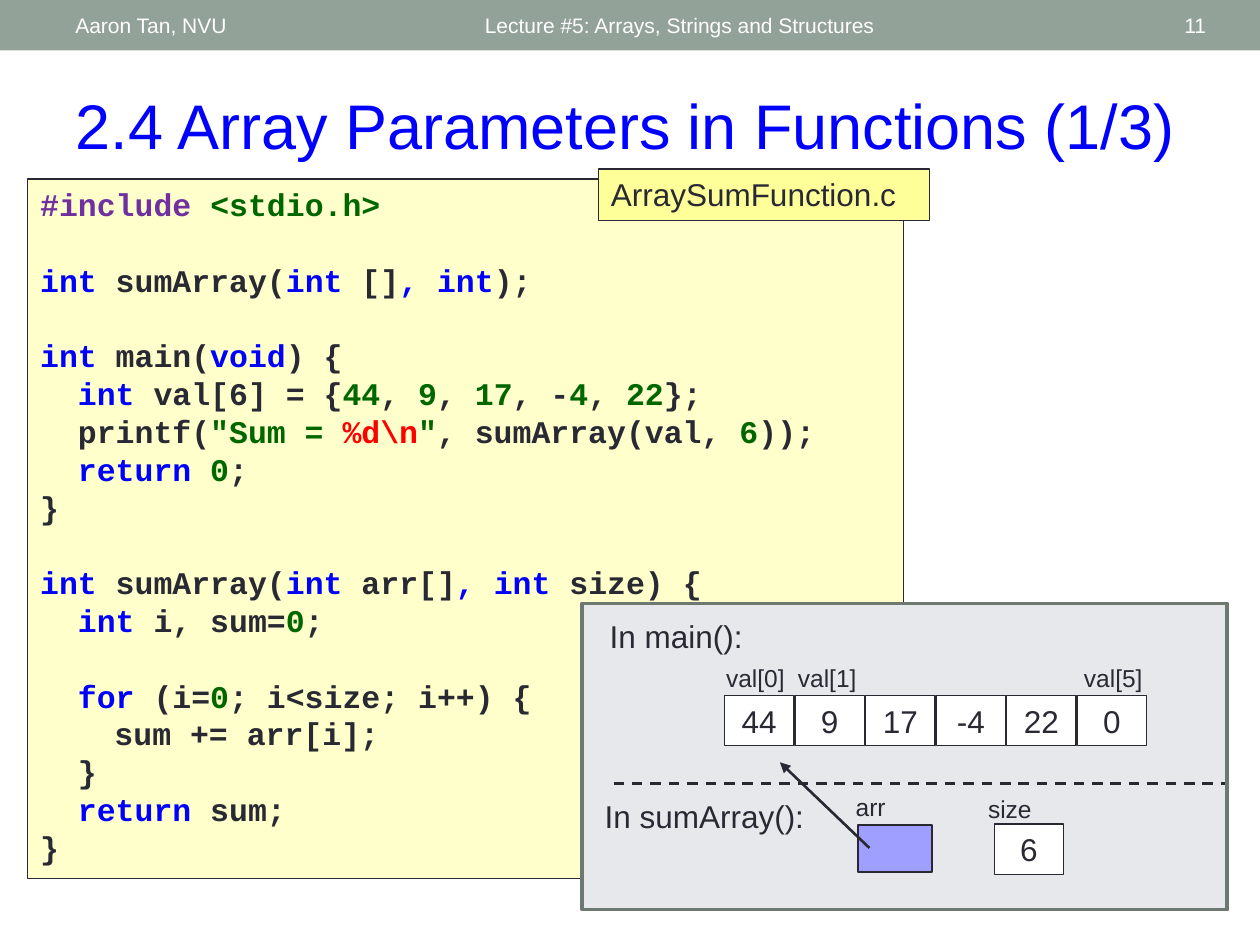
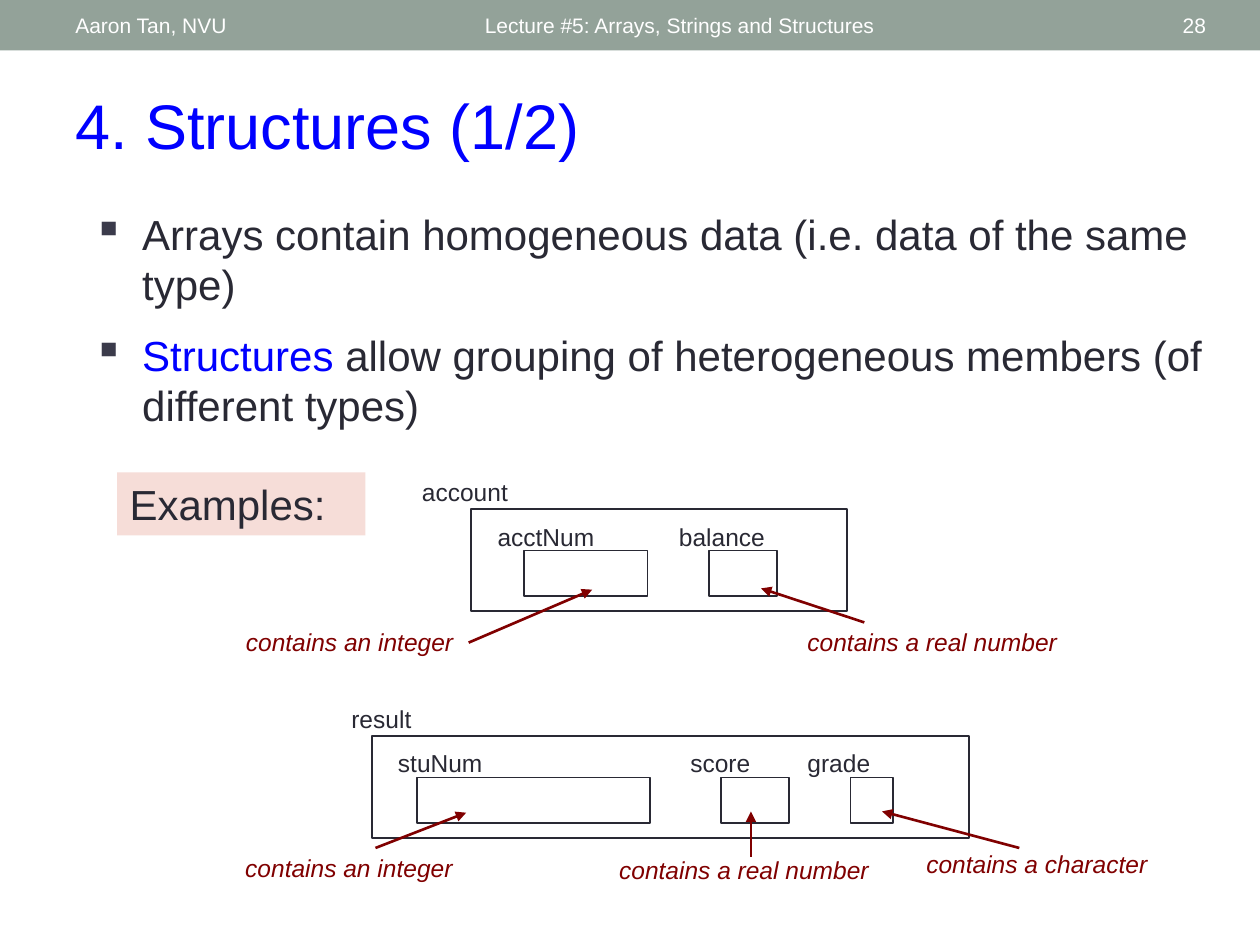
from dataclasses import dataclass

from lxml.etree import SubElement
from pptx import Presentation
from pptx.dml.color import RGBColor
from pptx.enum.dml import MSO_LINE_DASH_STYLE as Dash
from pptx.enum.shapes import MSO_CONNECTOR as Connector, MSO_SHAPE as Shape
from pptx.enum.text import MSO_ANCHOR as Anchor, MSO_AUTO_SIZE as AutoSize, PP_ALIGN as Align
from pptx.oxml.ns import qn
from pptx.util import Inches, Pt


@dataclass(frozen=True)
class Theme:
    font: str = "Arial"
    mono: str = "Courier New"
    ink: str = "292934"
    white: str = "FFFFFF"
    band: str = "93A299"
    blue: str = "0000FF"
    directive: str = "7030A0"
    literal: str = "006600"
    escape: str = "FF0000"
    code_fill: str = "FFFFCC"
    file_fill: str = "FFFF99"
    panel_fill: str = "E6E8EC"
    panel_line: str = "6D7871"
    pointer_fill: str = "9F9FFF"
    example_fill: str = "F6DDD8"
    note: str = "800000"
    bullet: str = "3B3B4B"
    title_size: int = 36
    body_size: int = 24
    text_size: int = 18
    label_size: int = 14
    header_size: int = 12


THEME = Theme()


def blue(text):
    return text, THEME.blue


def literal(text):
    return text, THEME.literal


CODE_BLOCKS = [
    [[("#include ", THEME.directive), literal("<stdio.h>")]],
    [[blue("int "), "sumArray(", blue("int "), "[]", blue(", int"), ");"]],
    [
        [blue("int"), " main(", blue("void"), ") {"],
        ["\t", blue("int "), "val[6] = {", literal("44"), ", ", literal("9"), ", ",
         literal("17"), ", -", literal("4"), ", ", literal("22"), "};"],
        ["\tprintf(", literal('"Sum = '), ("%d\\n", THEME.escape), literal('"'),
         ", sumArray(val, ", literal("6"), "));"],
        ["\t", blue("return "), literal("0"), ";"],
        ["}"],
    ],
    [
        [blue("int "), "sumArray(", blue("int "), "arr[]", blue(", int"), " size) {"],
        ["\t", blue("int "), "i, sum=", literal("0"), ";"],
    ],
    [
        ["\t", blue("for"), " (i=", literal("0"), "; i<size; i++) {"],
        ["\t\tsum += arr[i];"],
        ["\t}"],
        ["\t", blue("return"), " sum;"],
        ["}"],
    ],
]


class Deck:
    def __init__(self, theme):
        self.theme = theme
        self.presentation = Presentation()
        self.presentation.slide_width = Inches(10)
        self.presentation.slide_height = Inches(7.5)
        self.slide = None

    def new_slide(self, title, number):
        theme = self.theme
        self.slide = self.presentation.slides.add_slide(self.presentation.slide_layouts[5])
        heading = self.slide.shapes.title
        heading.left, heading.top = Inches(0.5), Inches(0.64)
        heading.width, heading.height = Inches(9.1), Inches(0.71)
        self.set_text(heading, [title], theme.title_size, theme.blue)
        self.box(0, 0, 10, 0.4, fill=theme.band)
        for left, width, text, align in (
            (0.5, 3.17, "Aaron Tan, NVU", Align.LEFT),
            (3.75, 4.5, "Lecture #5: Arrays, Strings and Structures", Align.LEFT),
            (8.72, 0.95, str(number), Align.RIGHT),
        ):
            self.text(left, 0.02, width, 0.36, text, theme.header_size, theme.white,
                      align=align, anchor=Anchor.MIDDLE)

    def set_text(self, shape, runs, size, color, align=Align.LEFT, anchor=Anchor.TOP):
        frame = shape.text_frame
        frame.word_wrap = True
        frame.auto_size = AutoSize.NONE
        frame.vertical_anchor = anchor
        self.fill_paragraph(frame.paragraphs[0], runs, size, color, align)

    def fill_paragraph(self, paragraph, runs, size, color, align=Align.LEFT, font=None):
        paragraph.alignment = align
        paragraph.font.name = font or self.theme.font
        paragraph.font.size = Pt(size)
        paragraph.font.color.rgb = RGBColor.from_string(color)
        for part in runs:
            text, accent = (part, None) if isinstance(part, str) else part
            run = paragraph.add_run()
            run.text = text
            if accent:
                run.font.color.rgb = RGBColor.from_string(accent)

    def text(self, left, top, width, height, text, size, color=None,
             align=Align.LEFT, anchor=Anchor.TOP, italic=False):
        label = self.slide.shapes.add_textbox(
            Inches(left), Inches(top), Inches(width), Inches(height))
        self.set_text(label, [text], size, color or self.theme.ink, align, anchor)
        if italic:
            label.text_frame.paragraphs[0].font.italic = True

    def label(self, left, top, width, text, align=Align.LEFT):
        self.text(left, top, width, 0.34, text, self.theme.label_size, align=align)

    def note(self, left, top, width, text):
        self.text(left, top, width, 0.34, text, self.theme.label_size, self.theme.note,
                  align=Align.CENTER, italic=True)

    def box(self, left, top, width, height, fill=None, line=None, weight=1.0,
            text=None, size=None, align=Align.LEFT):
        box = self.slide.shapes.add_shape(
            Shape.RECTANGLE, Inches(left), Inches(top), Inches(width), Inches(height))
        box.shadow.inherit = False
        if fill:
            box.fill.solid()
            box.fill.fore_color.rgb = RGBColor.from_string(fill)
        else:
            box.fill.background()
        if line:
            box.line.color.rgb = RGBColor.from_string(line)
            box.line.width = Pt(weight)
        else:
            box.line.fill.background()
        if text:
            self.set_text(box, [text], size or self.theme.text_size, self.theme.ink, align)
        return box

    def cell(self, left, top, text):
        self.box(left, top, 0.55, 0.4, self.theme.white, self.theme.ink, 0.75,
                 text, align=Align.CENTER)

    def connector(self, start, end, color, arrow=True, dashed=False):
        connector = self.slide.shapes.add_connector(
            Connector.STRAIGHT, *(Inches(value) for value in (*start, *end)))
        connector.line.color.rgb = RGBColor.from_string(color)
        connector.line.width = Pt(1.5)
        if dashed:
            connector.line.dash_style = Dash.DASH
        properties = connector._element.spPr
        if arrow:
            SubElement(properties.find(qn("a:ln")), qn("a:tailEnd"), type="triangle")
        SubElement(properties, qn("a:effectLst"))

    def code(self, left, top, width, height, blocks):
        theme, pitch = self.theme, Pt(21.6)
        listing = self.box(left, top, width, height, theme.code_fill, theme.ink, 0.75)
        frame = listing.text_frame
        frame.word_wrap = True
        frame.vertical_anchor = Anchor.TOP
        for block_index, block in enumerate(blocks):
            for line_index, runs in enumerate(block):
                first = block_index == line_index == 0
                paragraph = frame.paragraphs[0] if first else frame.add_paragraph()
                tabs = SubElement(paragraph._p.get_or_add_pPr(), qn("a:tabLst"))
                for stop in (0.3, 0.59, 0.88, 1.18):
                    SubElement(tabs, qn("a:tab"), pos=str(Inches(stop)), algn="l")
                paragraph.line_spacing = pitch
                if line_index == 0 and not first:
                    paragraph.space_before = pitch
                self.fill_paragraph(paragraph, runs, theme.text_size, theme.ink, font=theme.mono)
                paragraph.font.bold = True

    def bullets(self, left, top, width, height, items):
        theme = self.theme
        body = self.slide.shapes.add_textbox(
            Inches(left), Inches(top), Inches(width), Inches(height))
        frame = body.text_frame
        frame.word_wrap = True
        for index, runs in enumerate(items):
            paragraph = frame.add_paragraph() if index else frame.paragraphs[0]
            properties = paragraph._p.get_or_add_pPr()
            properties.set("marL", str(Inches(0.39)))
            properties.set("indent", str(-Inches(0.39)))
            SubElement(SubElement(properties, qn("a:buClr")), qn("a:srgbClr"), val=theme.bullet)
            SubElement(properties, qn("a:buChar"), char="▪")
            paragraph.space_before = Pt(12)
            paragraph.line_spacing = Pt(28.6)
            self.fill_paragraph(paragraph, runs, theme.body_size, theme.ink)

    def record(self, name, name_left, left, top, width, members):
        self.label(name_left, top - 0.3, 1.28, name)
        self.box(left, top, width, 0.81, line=self.theme.ink)
        for member, label_left, field_left, field_width in members:
            self.box(field_left, top + 0.33, field_width, 0.36, line=self.theme.ink)
            self.label(label_left, top + 0.05, 1.18, member)


def array_parameters(deck):
    theme = deck.theme
    deck.new_slide("2.4 Array Parameters in Functions (1/3)", 11)
    deck.code(0.22, 1.42, 6.95, 5.55, CODE_BLOCKS)
    deck.box(4.75, 1.34, 2.63, 0.41, theme.file_fill, theme.ink, 0.75, "ArraySumFunction.c")
    deck.box(4.62, 4.79, 5.12, 2.43, theme.panel_fill, theme.panel_line, 2.08)

    deck.text(4.74, 4.85, 1.41, 0.4, "In main():", theme.text_size)
    for left, name in ((5.6, "val[0]"), (6.17, "val[1]"), (8.44, "val[5]")):
        deck.label(left, 5.21, 0.79, name, Align.CENTER)
    for index, value in enumerate(("44", "9", "17", "-4", "22", "0")):
        deck.cell(5.75 + 0.56 * index, 5.52, value)

    deck.text(4.7, 6.28, 1.85, 0.4, "In sumArray():", theme.text_size)
    deck.label(6.64, 6.24, 0.54, "arr", Align.CENTER)
    deck.box(6.81, 6.55, 0.59, 0.37, theme.pointer_fill, theme.ink)
    deck.connector((6.9, 6.73), (6.19, 6.05), theme.ink)
    deck.label(7.65, 6.25, 0.73, "size", Align.CENTER)
    deck.cell(7.89, 6.54, "6")
    deck.connector((4.87, 6.22), (9.72, 6.22), theme.ink, arrow=False, dashed=True)


def structures(deck):
    theme = deck.theme
    deck.new_slide("4. Structures (1/2)", 28)
    deck.bullets(0.64, 1.61, 9.02, 2, [
        ["Arrays contain homogeneous data (i.e. data of the same type)"],
        [blue("Structures "), "allow grouping of heterogeneous members (of different types)"],
    ])
    deck.box(0.93, 3.75, 1.97, 0.5, theme.example_fill, text="Examples:", size=theme.body_size)

    deck.record("account", 3.25, 3.74, 4.04, 2.98, [
        ("acctNum", 3.85, 4.16, 0.98),
        ("balance", 5.29, 5.63, 0.54),
    ])
    deck.record("result", 2.69, 2.95, 5.84, 4.74, [
        ("stuNum", 3.06, 3.31, 1.85),
        ("score", 5.38, 5.72, 0.54),
        ("grade", 6.31, 6.75, 0.34),
    ])
    for left, top, width, content, start, end in (
        (1.83, 4.93, 1.89, "an integer", (3.72, 5.1), (4.7, 4.68)),
        (6.17, 4.93, 2.46, "a real number", (6.86, 4.94), (6.04, 4.67)),
        (1.69, 6.72, 2.16, "an integer", (2.98, 6.73), (3.7, 6.45)),
        (4.7, 6.74, 2.41, "a real number", (5.96, 6.8), (5.96, 6.44)),
        (7.21, 6.69, 2.04, "a character", (8.09, 6.73), (7, 6.44)),
    ):
        deck.note(left, top, width, f"contains {content}")
        deck.connector(start, end, theme.note)


def main():
    deck = Deck(THEME)
    array_parameters(deck)
    structures(deck)
    deck.presentation.save("out.pptx")


if __name__ == "__main__":
    main()
